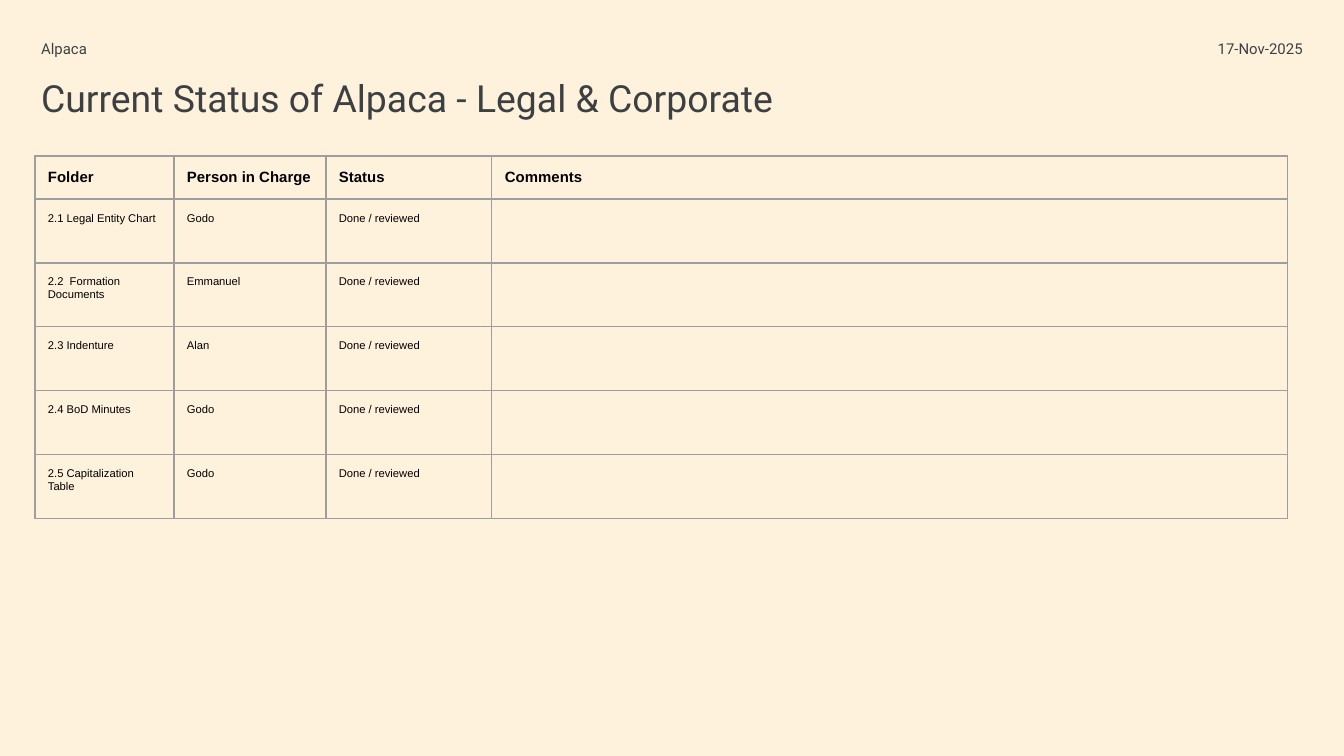
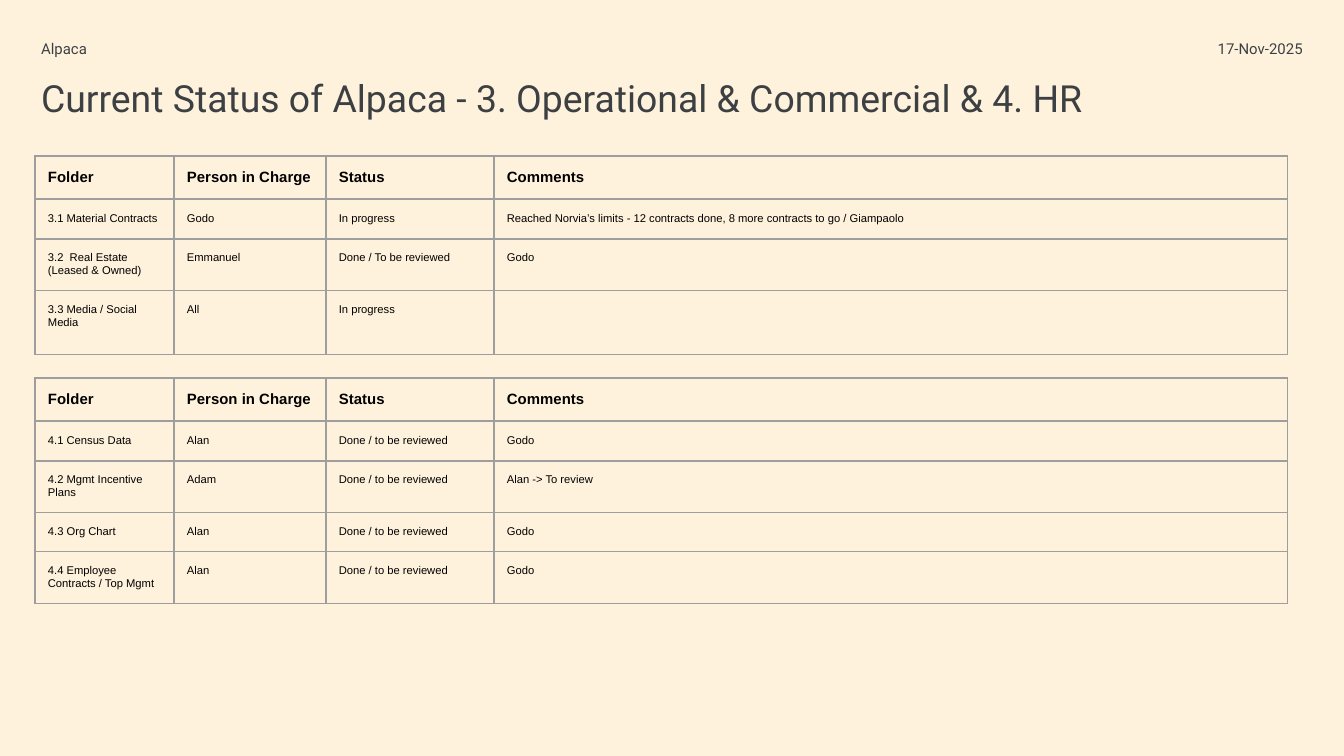
from dataclasses import dataclass

from lxml.etree import SubElement
from pptx import Presentation
from pptx.dml.color import RGBColor
from pptx.enum.text import MSO_ANCHOR, MSO_AUTO_SIZE, PP_ALIGN
from pptx.oxml.ns import qn
from pptx.util import Emu, Pt


@dataclass(frozen=True)
class Theme:
    back: str = "FFF2DC"
    ink: str = "3C4043"
    black: str = "000000"
    rule: str = "9E9E9E"
    head_font: str = "Roboto"
    cell_font: str = "Arial"
    title: int = 20
    label: int = 8
    cell: int = 6
    line: float = 0.75


THEME = Theme()
WIDE, HIGH = 1344, 756
LEFT, INNER, TAG = 41, 1262, 239
GRID, TOP, INSET = 35, 156, 13
HEADS = ["Folder", "Person in Charge", "Status", "Comments"]


def px(count):
    return Emu(round(count * 914400 / 134.4))


def style(para, name, size, color, bold=False):
    font = para.font
    font.name, font.size, font.bold = name, Pt(size), bold
    font.color.rgb = RGBColor.from_string(color)


# Title and labels
def fill(holder, text, box, size, align=PP_ALIGN.LEFT, top=0):
    holder.left, holder.top, holder.width, holder.height = map(px, box)
    frame = holder.text_frame
    frame.text = text
    frame.word_wrap = True
    frame.auto_size = MSO_AUTO_SIZE.NONE
    frame.vertical_anchor = MSO_ANCHOR.TOP
    frame.margin_left = frame.margin_right = frame.margin_bottom = 0
    frame.margin_top = px(top)
    para = frame.paragraphs[0]
    para.alignment = align
    para.space_before = Pt(0)
    props = para._p.get_or_add_pPr()
    props.set("marL", "0")
    props.set("indent", "0")
    SubElement(props, qn("a:buNone"))
    style(para, THEME.head_font, size, THEME.ink)


def add_page(deck, title):
    slide = deck.slides.add_slide(deck.slide_layouts.get_by_name("Two Content"))
    head, name, date = slide.placeholders
    fill(head, title, (LEFT, 62, INNER, 130), THEME.title, top=INSET)
    fill(name, "Alpaca", (LEFT, 40, TAG, 20), THEME.label)
    fill(date, "17-Nov-2025", (LEFT + INNER - TAG, 40, TAG, 20), THEME.label,
         PP_ALIGN.RIGHT)
    return slide


# Status tables
def frame_cell(cell):
    props = cell._tc.get_or_add_tcPr()
    for side in ("lnL", "lnR", "lnT", "lnB"):
        edge = SubElement(props, qn(f"a:{side}"), w=str(Pt(THEME.line)))
        paint = SubElement(edge, qn("a:solidFill"))
        SubElement(paint, qn("a:srgbClr"), val=THEME.rule)
    cell.fill.background()
    cell.margin_left = cell.margin_right = px(INSET)
    cell.margin_top = cell.margin_bottom = px(INSET)


def add_status(slide, top, cols, rows, highs):
    highs = [43] + highs
    shape = slide.shapes.add_table(len(highs), len(cols), px(GRID), px(top),
                                   px(sum(cols)), px(sum(highs)))
    table = shape.table
    table.first_row = table.horz_banding = False
    for col, wide in zip(table.columns, cols):
        col.width = px(wide)
    for i, (row, high, texts) in enumerate(zip(table.rows, highs, [HEADS] + rows)):
        row.height = px(high)
        size = THEME.cell if i else THEME.label
        for cell, text in zip(row.cells, texts):
            frame_cell(cell)
            cell.text = text
            style(cell.text_frame.paragraphs[0], THEME.cell_font, size,
                  THEME.black, bold=i == 0)


def main():
    deck = Presentation()
    deck.slide_width, deck.slide_height = px(WIDE), px(HIGH)
    back = deck.slide_master.background.fill
    back.solid()
    back.fore_color.rgb = RGBColor.from_string(THEME.back)

    # Legal and corporate
    slide = add_page(deck, "Current Status of Alpaca - Legal & Corporate")
    legal = [
        ("2.1 Legal Entity Chart", "Godo"),
        ("2.2  Formation Documents", "Emmanuel"),
        ("2.3 Indenture", "Alan"),
        ("2.4 BoD Minutes", "Godo"),
        ("2.5 Capitalization Table", "Godo"),
    ]
    rows = [[folder, person, "Done / reviewed", ""] for folder, person in legal]
    add_status(slide, TOP, [139, 152, 166, 796], rows, [64] * len(rows))

    # Operations and staff
    slide = add_page(
        deck, "Current Status of Alpaca - 3. Operational & Commercial & 4. HR")
    cols = [139, 152, 168, 794]
    trade = [
        ["3.1 Material Contracts", "Godo", "In progress",
         "Reached Norvia’s limits - 12 contracts done, "
         "8 more contracts to go / Giampaolo"],
        ["3.2  Real Estate (Leased & Owned)", "Emmanuel",
         "Done / To be reviewed", "Godo"],
        ["3.3 Media / Social Media", "All", "In progress", ""],
    ]
    add_status(slide, TOP, cols, trade, [40, 52, 64])
    staff = [
        ("4.1 Census Data", "Alan", "Godo"),
        ("4.2 Mgmt Incentive Plans", "Adam", "Alan -> To review"),
        ("4.3 Org Chart", "Alan", "Godo"),
        ("4.4 Employee Contracts / Top Mgmt", "Alan", "Godo"),
    ]
    rows = [[folder, person, "Done / to be reviewed", note]
            for folder, person, note in staff]
    add_status(slide, 378, cols, rows, [40, 52, 39, 52])

    deck.save("out.pptx")


if __name__ == "__main__":
    main()
